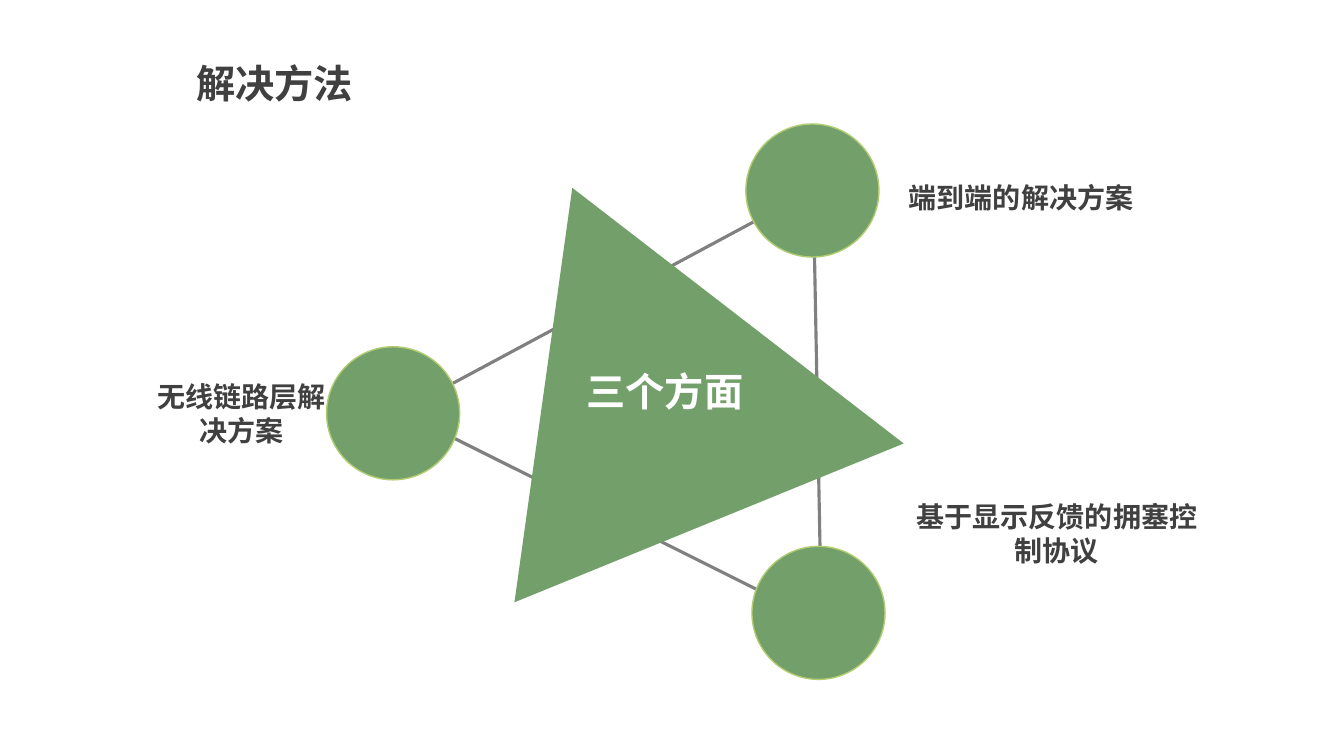
"""Draw three solution nodes linked around a central triangle."""
from dataclasses import dataclass
from typing import Any

from pptx import Presentation
from pptx import util as u
from pptx.dml.color import RGBColor
from pptx.enum import shapes, text
from pptx.oxml.ns import qn
from lxml import etree


@dataclass(frozen=True)
class Theme:
    green: str = "73A06A"
    rim: str = "B1CC71"
    link: str = "808080"
    dark: str = "404040"
    white: str = "FFFFFF"
    font: str = "Quicksand"
    head: int = 28
    body: int = 20
    thin: float = 1
    thick: float = 2.25


@dataclass(frozen=True)
class Box:
    col: float
    row: float
    wide: float
    high: float


@dataclass(frozen=True)
class Link:
    col: float
    row: float
    endcol: float
    endrow: float


@dataclass(frozen=True)
class Label:
    words: str
    box: Box
    size: int
    color: str


LOOK = Theme()
WIDE, HIGH = u.Inches(13.33), u.Inches(7.5)
COLS = ROWS = 100
NODE = (9.9, 17.6)

LINKS = (
    Link(32.63, 56.93, 58.28, 79.73),
    Link(60.53, 26.93, 61.05, 75.73),
    Link(30.38, 53.87, 59.03, 26.53),
)
NODES = ((55.5, 16.4), (55.95, 72.27), (24.3, 45.87))
CORE = Box(32.03, 23.07, 31.28, 47.87)
TURN = 337.8
LABELS = (
    Label("解决方法", Box(5.55, 7.2, 29.78, 7.6), LOOK.head, LOOK.dark),
    Label("三个方面", Box(42.08, 47.87, 14.78, 7.6), LOOK.head, LOOK.white),
    Label("端到端的解决方案", Box(65.7, 23.2, 20.55, 5.87), LOOK.body, LOOK.dark),
    Label("基于显示反馈的拥塞控制协议", Box(66.83, 65.47, 23.63, 10.27), LOOK.body, LOOK.dark),
    Label("无线链路层解决方案", Box(10.58, 49.6, 14.78, 10.27), LOOK.body, LOOK.dark),
)


def across(cols: float) -> int:
    """Turn grid columns into a length."""
    return round(WIDE * cols / COLS)


def down(rows: float) -> int:
    """Turn grid rows into a length."""
    return round(HIGH * rows / ROWS)


def place(box: Box) -> tuple[int, int, int, int]:
    """Give the left, top, width and height of a box."""
    return across(box.col), down(box.row), across(box.wide), down(box.high)


def style(item: Any, form: dict[str, Any]) -> None:
    """Set each format value on an item."""
    for name, value in form.items():
        setattr(item, name, value)


def join(slide: Any, link: Link) -> None:
    """Draw one link line."""
    line = slide.shapes.add_connector(
        shapes.MSO_CONNECTOR.STRAIGHT,
        across(link.col), down(link.row), across(link.endcol), down(link.endrow),
    )
    line.line.color.rgb = RGBColor.from_string(LOOK.link)
    line.line.width = u.Pt(LOOK.thick)
    etree.SubElement(line._element.spPr, qn("a:effectLst"))


def form(slide: Any, kind: shapes.MSO_SHAPE, box: Box, rim: str = "", turn: float = 0) -> None:
    """Draw one green shape with an optional rim."""
    item = slide.shapes.add_shape(kind, *place(box))
    item.rotation = turn
    item.shadow.inherit = False
    item.fill.solid()
    item.fill.fore_color.rgb = RGBColor.from_string(LOOK.green)
    if rim:
        item.line.color.rgb = RGBColor.from_string(rim)
        item.line.width = u.Pt(LOOK.thin)
    else:
        item.line.fill.background()


def write(slide: Any, label: Label) -> None:
    """Add one centred label."""
    frame = slide.shapes.add_textbox(*place(label.box)).text_frame
    style(frame, {"word_wrap": True, "auto_size": text.MSO_AUTO_SIZE.SHAPE_TO_FIT_TEXT})
    para = frame.paragraphs[0]
    para.alignment = text.PP_ALIGN.CENTER
    run = para.add_run()
    run.text = label.words
    style(run.font, {"name": LOOK.font, "size": u.Pt(label.size), "bold": True})
    run.font.color.rgb = RGBColor.from_string(label.color)


def main() -> None:
    """Build and save the slide."""
    deck = Presentation()
    style(deck, {"slide_width": WIDE, "slide_height": HIGH})
    slide = deck.slides.add_slide(deck.slide_layouts[6])
    for link in LINKS:
        join(slide, link)
    for col, row in NODES:
        form(slide, shapes.MSO_SHAPE.OVAL, Box(col, row, *NODE), LOOK.rim)
    form(slide, shapes.MSO_SHAPE.ISOSCELES_TRIANGLE, CORE, turn=TURN)
    for label in LABELS:
        write(slide, label)
    deck.save("out.pptx")


if __name__ == "__main__":
    main()
